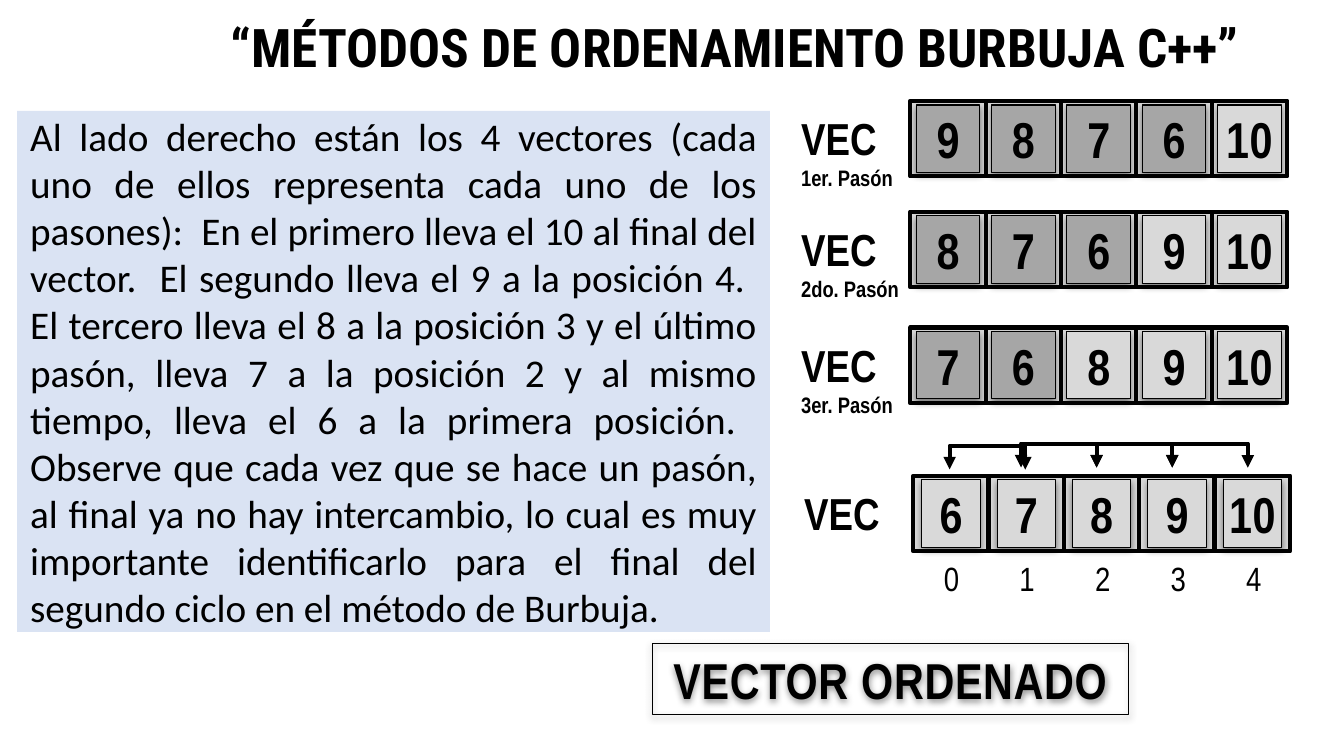
from lxml import etree
from pptx import Presentation
from pptx.dml.color import RGBColor
from pptx.enum.shapes import MSO_CONNECTOR, MSO_SHAPE
from pptx.enum.text import MSO_ANCHOR, PP_ALIGN
from pptx.oxml.ns import qn
from pptx.util import Pt

RECT, ELBOW = MSO_SHAPE.RECTANGLE, MSO_CONNECTOR.ELBOW
MIDDLE, TOP = MSO_ANCHOR.MIDDLE, MSO_ANCHOR.TOP
LEFT, CENTER, JUSTIFY = PP_ALIGN.LEFT, PP_ALIGN.CENTER, PP_ALIGN.JUSTIFY

NARROW = "Arial Narrow"
BLACK, LIGHT, DARK, BLUE = "000000", "D9D9D9", "A6A6A6", "DAE3F3"
CELL, PITCH = 54, 53.82

EXPLANATION = (
    "Al lado derecho están los 4 vectores (cada uno de ellos representa cada uno de los pasones):  "
    "En el primero lleva el 10 al final del vector.  El segundo lleva el 9 a la posición 4.  "
    "El tercero lleva el 8 a la posición 3 y el último pasón, lleva 7 a la posición 2 y al mismo "
    "tiempo, lleva el 6 a la primera posición.  Observe que cada vez que se hace un pasón, al final "
    "ya no hay intercambio, lo cual es muy importante identificarlo para el final del segundo ciclo "
    "en el método de Burbuja."
)
# Top of the row, caption, values, number of values still unsorted
PASSES = [
    (72, "1er. Pasón", (9, 8, 7, 6, 10), 4),
    (151.2, "2do. Pasón", (8, 7, 6, 9, 10), 3),
    (234, "3er. Pasón", (7, 6, 8, 9, 10), 2),
]


def rgb(value):
    return RGBColor.from_string(value)


def sub(parent, tag, **attrs):
    return etree.SubElement(parent, qn(tag), attrs)


def write(sp, text, size, font=NARROW, bold=False, align=LEFT, anchor=TOP, wrap=True):
    tf = sp.text_frame
    tf.word_wrap = wrap
    tf.vertical_anchor = anchor
    p = tf.paragraphs[0]
    p.text = text
    p.alignment = align
    for r in p.runs:
        r.font.name, r.font.size, r.font.bold = font, Pt(size), bold
        r.font.color.rgb = rgb(BLACK)
    return p


def add_rect(shapes, x, y, w, h, fill=None, line=None):
    sp = shapes.add_shape(RECT, Pt(x), Pt(y), Pt(w), Pt(h))
    sp.shadow.inherit = False
    if fill:
        sp.fill.solid()
        sp.fill.fore_color.rgb = rgb(fill)
    else:
        sp.fill.background()
    if line:
        sp.line.color.rgb = rgb(BLACK)
        sp.line.width = Pt(line)
    else:
        sp.line.fill.background()
    return sp


def add_raised_tile(shapes, x, y, w, h, text, fill=None):
    """Thin-lined rectangle with a soft shadow and large bold text."""
    sp = add_rect(shapes, x, y, w, h, fill, 0.75)
    effects = sp._element.spPr.find(qn("a:effectLst"))
    shadow = sub(effects, "a:outerShdw", blurRad=str(Pt(5)), dist=str(Pt(2)),
                 dir="5400000", algn="tl", rotWithShape="0")
    sub(sub(shadow, "a:srgbClr", val=BLACK), "a:alpha", val="43000")
    p = write(sp, text, 36, bold=True, align=CENTER, anchor=MIDDLE, wrap=False)
    p.runs[0]._r.get_or_add_rPr().set("spc", "50")


def add_title(slide, x, y, w, h):
    sp = slide.shapes.add_textbox(Pt(x), Pt(y), Pt(w), Pt(h))
    p = write(sp, "“MÉTODOS DE ORDENAMIENTO BURBUJA C++”", 38, "Roboto Condensed",
              True, CENTER, MIDDLE)
    p.line_spacing = 0.9


def add_explanation(slide, x, y, w, h):
    sp = add_rect(slide.shapes, x, y, w, h, BLUE)
    tf = sp.text_frame
    tf.margin_left = tf.margin_right = tf.margin_top = tf.margin_bottom = Pt(9.4)
    write(sp, EXPLANATION, 28, "Calibri", align=JUSTIFY, anchor=MIDDLE)


def add_vector(slide, x, y, values, unsorted=0, caption=None, tile_w=45.4):
    """Row of cells starting at x, y, with its label to the left."""
    shapes = slide.shapes.add_group_shape().shapes
    for i in range(len(values)):
        add_rect(shapes, x + i * PITCH, y, CELL, CELL, LIGHT, 3)

    label = shapes.add_textbox(Pt(x - 85), Pt(y + 3.6), Pt(89.3), Pt(65.5 if caption else 45.4))
    p = write(label, f"VEC\v{caption}" if caption else "VEC", 32, bold=True)
    if caption:
        p.runs[1].font.size = Pt(16)

    tile_h = 48
    for i, value in enumerate(values):
        add_raised_tile(shapes, x + i * PITCH + (CELL - tile_w) / 2, y + (CELL - tile_h) / 2,
                        tile_w, tile_h, str(value), DARK if i < unsorted else LIGHT)


def add_indexes(slide, x, y, w, h, count):
    sp = slide.shapes.add_textbox(Pt(x), Pt(y), Pt(w), Pt(h))
    p = sp.text_frame.paragraphs[0]
    tabs = sub(p._p.get_or_add_pPr(), "a:tabLst")
    for i in range(count):
        sub(tabs, "a:tab", pos=str(Pt(16 + i * CELL)), algn="ctr")
    write(sp, "".join(f"\t{i}" for i in range(count)), 24)


def add_swap_arrow(slide, x, y):
    """Bracket rising 18 pt above y, pointing down at x and one cell further on."""
    depth, rise = 0.12, 18
    left, top = x + (CELL - depth) / 2, y - CELL / 2
    cn = slide.shapes.add_connector(ELBOW, Pt(left), Pt(top), Pt(left + depth), Pt(top + CELL))
    cn.line.color.rgb = rgb(BLACK)
    cn.line.width = Pt(3)
    spPr = cn._element.spPr
    spPr.xfrm.set("rot", "5400000")
    spPr.xfrm.set("flipV", "1")
    guides = spPr.find(qn("a:prstGeom")).get_or_add_avLst()
    sub(guides, "a:gd", name="adj1", fmla=f"val {round(-rise / depth * 100000)}")
    ln = cn.line._get_or_add_ln()
    sub(ln, "a:headEnd", type="triangle")
    sub(ln, "a:tailEnd", type="triangle")
    sub(spPr, "a:effectLst")


def add_sorted_vector(slide, x, y):
    values = (6, 7, 8, 9, 10)
    add_vector(slide, x, y, values, tile_w=41.8)
    add_indexes(slide, x + 4.3, y + 55.4, 264.2, 36, len(values))
    add_swap_arrow(slide, x + 26, y - 4.4)
    for i in range(3):
        add_swap_arrow(slide, x + 77 + i * CELL, y - 5.8)


def main():
    prs = Presentation()
    prs.slide_width, prs.slide_height = Pt(960), Pt(540)
    slide = prs.slides.add_slide(prs.slide_layouts[6])
    add_explanation(slide, 12.2, 79.2, 537.8, 372.2)
    add_title(slide, 77.8, 0, 895, 72)
    add_sorted_vector(slide, 652.3, 339.8)
    for y, caption, values, unsorted in PASSES:
        add_vector(slide, 650.2, y, values, unsorted, caption)
    add_raised_tile(slide.shapes, 465.8, 459.4, 340.6, 51.1, "VECTOR ORDENADO")
    prs.save("out.pptx")


if __name__ == "__main__":
    main()
